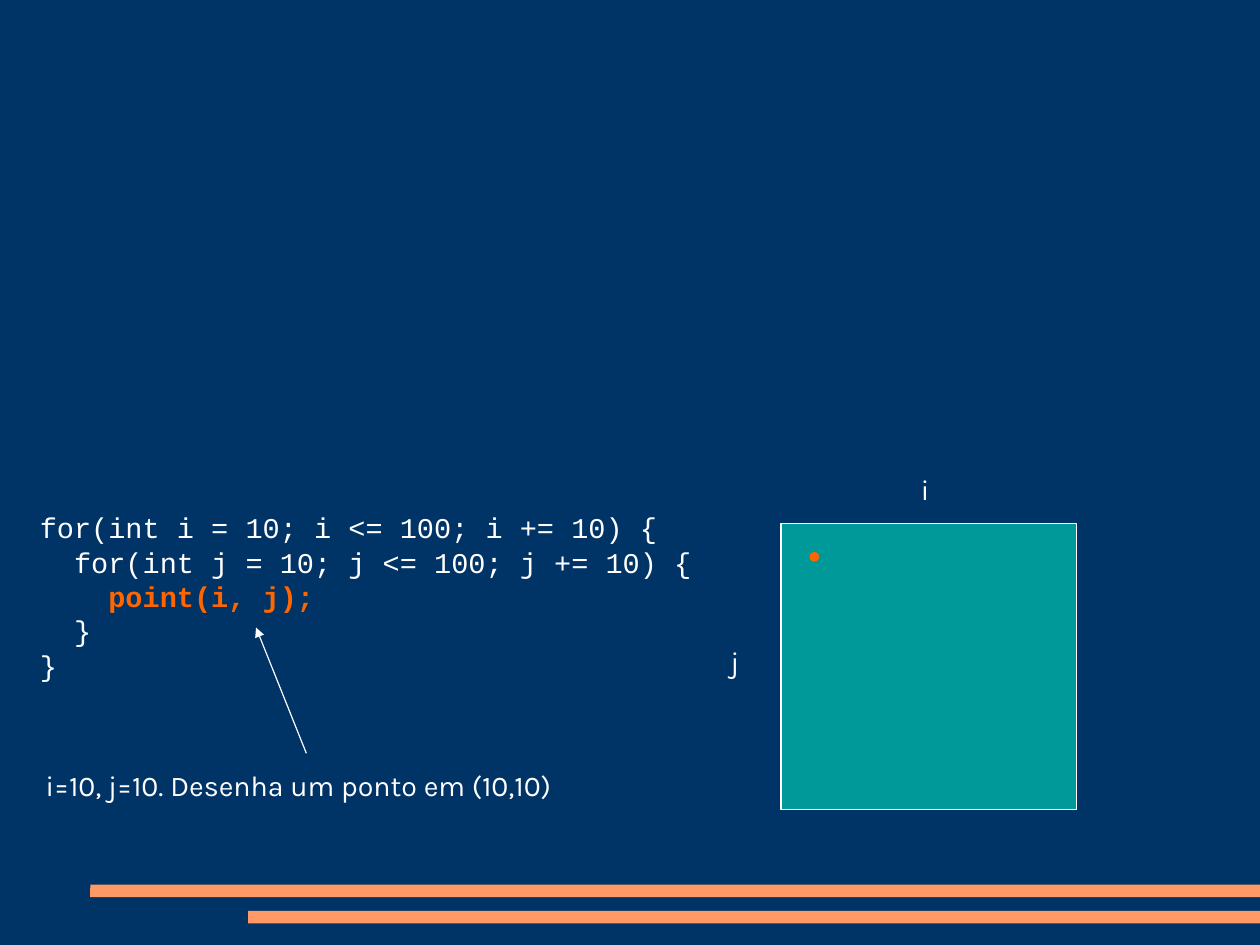
from lxml.etree import SubElement
from pptx import Presentation
from pptx.dml.color import RGBColor
from pptx.enum.shapes import MSO_CONNECTOR, MSO_SHAPE
from pptx.oxml.ns import qn
from pptx.util import Pt

WIDTH, HEIGHT = 793.75, 595.25
WHITE, ORANGE, PEACH, TEAL, NAVY = "FFFFFF", "FF6600", "FF9966", "009999", "003366"
CODE = [
    "for(int i = 10; i <= 100; i += 10) {",
    "  for(int j = 10; j <= 100; j += 10) {",
    "    point(i, j);",
    "  }",
    "}",
]
CURRENT_LINE = 2


def paint(color_format, color):
    """Set a fill, line or font colour from a hex string."""
    color_format.rgb = RGBColor.from_string(color)


def add_block(page, kind, left, top, width, height, fill, outline=None):
    """Add a filled preset shape with an optional thin outline."""
    shape = page.shapes.add_shape(kind, Pt(left), Pt(top), Pt(width), Pt(height))
    shape.shadow.inherit = False
    shape.fill.solid()
    paint(shape.fill.fore_color, fill)
    if outline:
        paint(shape.line.color, outline)
        shape.line.width = Pt(0.75)
    else:
        shape.line.fill.background()
    return shape


def add_bar(page, left, top):
    """Add a footer bar that runs to the right edge of the page."""
    bar = add_block(page, MSO_SHAPE.ROUNDED_RECTANGLE, left, top, WIDTH - left, 7.9, PEACH)
    bar.adjustments[0] = 0.017


def add_text(page, lines, left, top, width, height, font="Karla"):
    """Add white 18-point text, one paragraph per line."""
    box = page.shapes.add_textbox(Pt(left), Pt(top), Pt(width), Pt(height))
    box.text_frame.word_wrap = True
    box.text_frame.text = "\n".join(lines)
    for para in box.text_frame.paragraphs:
        for span in para.runs:
            span.font.name = font
            span.font.size = Pt(18)
            paint(span.font.color, WHITE)
    return box


def add_code(page):
    """Add the loop code with the current statement highlighted."""
    box = add_text(page, CODE, 18, 318, 444.2, 115.2, "Courier New")
    span = box.text_frame.paragraphs[CURRENT_LINE].runs[0]
    span.font.bold = True
    paint(span.font.color, ORANGE)


def add_arrow(page, start_x, start_y, end_x, end_y):
    """Add a thin white line with a triangle head at its end."""
    arrow = page.shapes.add_connector(
        MSO_CONNECTOR.STRAIGHT, Pt(start_x), Pt(start_y), Pt(end_x), Pt(end_y)
    )
    paint(arrow.line.color, WHITE)
    arrow.line.width = Pt(0.75)
    SubElement(arrow.line._get_or_add_ln(), qn("a:tailEnd"), type="triangle")
    SubElement(arrow._element.spPr, qn("a:effectLst"))


def main():
    """Build the nested loop slide and save it."""
    deck = Presentation()
    deck.slide_width, deck.slide_height = Pt(WIDTH), Pt(HEIGHT)
    page = deck.slides.add_slide(deck.slide_layouts[6])
    page.background.fill.solid()
    paint(page.background.fill.fore_color, NAVY)

    add_bar(page, 56.9, 557.2)
    add_bar(page, 156.4, 573.7)
    add_code(page)
    add_block(page, MSO_SHAPE.RECTANGLE, 492, 329.75, 186, 180, TEAL, WHITE)
    add_text(page, ["i"], 573, 294, 25.2, 28.8)
    add_text(page, ["j"], 453, 402, 25.2, 28.8)
    add_text(page, ["i=10, j=10. Desenha um ponto em (10,10)"], 21.6, 480, 447.8, 28.8)
    add_arrow(page, 193, 474.5, 161.3, 395.3)
    add_block(page, MSO_SHAPE.OVAL, 510, 347.75, 6, 6, ORANGE)
    deck.save("out.pptx")


if __name__ == "__main__":
    main()
